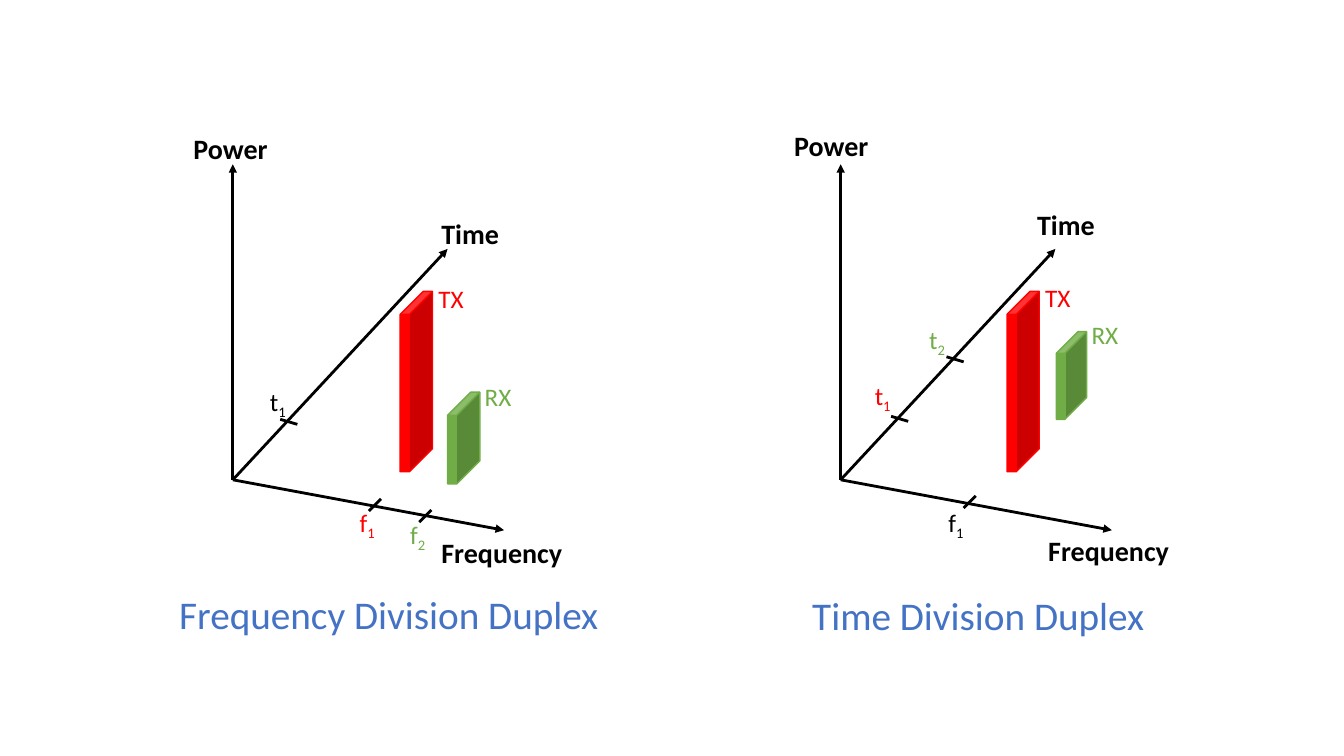
import pptx
import pptx.dml.color
import pptx.enum.shapes
import pptx.enum.text
import pptx.oxml
import pptx.oxml.ns
import pptx.util

HUES = {"black": "000000", "red": "FF0000", "green": "70AD47", "blue": "4472C4"}


class Sketch:
    def __init__(self, deck):
        self.deck = deck
        self.face = "Calibri"
        self.cell = pptx.util.Inches(0.1)
        deck.slide_width = self.grid(133.33)
        deck.slide_height = self.grid(75)
        self.slide = deck.slides.add_slide(deck.slide_layouts[6])

    def grid(self, cells):
        return pptx.util.Emu(round(cells * self.cell))

    def hue(self, name):
        return pptx.dml.color.RGBColor.from_string(HUES[name])

    def text(self, col, row, wide, high, words, size, hue="black", bold=False, sub=""):
        box = self.slide.shapes.add_textbox(*map(self.grid, (col, row, wide, high)))
        frame = box.text_frame
        frame.word_wrap = True
        frame.auto_size = pptx.enum.text.MSO_AUTO_SIZE.SHAPE_TO_FIT_TEXT
        para = frame.paragraphs[0]
        para.add_run().text = words
        if sub:
            low = para.add_run()
            low.text = sub
            low.font._element.set("baseline", "-25000")
        para.font.name = self.face
        para.font.size = pptx.util.Pt(size)
        para.font.bold = bold
        para.font.color.rgb = self.hue(hue)

    def title(self, col, row, words):
        self.text(col, row, 44.6, 5.7, words, 28, "blue")

    def name(self, col, row, wide, words):
        self.text(col, row, wide, 4.4, words, 20, bold=True)

    def mark(self, col, row, words, hue, sub=""):
        self.text(col, row, 4.9, 4, words, 18, hue, sub=sub)

    def line(self, col, row, across, down, arrow=False):
        ends = (col, row, col + across, row + down)
        kind = pptx.enum.shapes.MSO_CONNECTOR.STRAIGHT
        line = self.slide.shapes.add_connector(kind, *map(self.grid, ends))
        line.line.width = pptx.util.Pt(2)
        line.line.color.rgb = self.hue("black")
        if arrow:
            tip = pptx.oxml.ns.qn("a:tailEnd")
            line.line._get_or_add_ln().append(
                line._element.makeelement(tip, {"type": "triangle"}))
        none = pptx.oxml.ns.qn("a:effectLst")
        line._element.spPr.append(line._element.makeelement(none, {}))

    def axes(self, col, row):
        for across, down in ((0, -31.3), (21.3, -22.9), (26.9, 5)):
            self.line(col, row, across, down, True)

    def bar(self, col, row, wide, high, hue):
        kind = pptx.enum.shapes.MSO_SHAPE.CUBE
        bar = self.slide.shapes.add_shape(kind, *map(self.grid, (col, row, wide, high)))
        bar.adjustments[0] = 0.717
        bar.shadow.inherit = False
        bar.fill.solid()
        bar.fill.fore_color.rgb = self.hue(hue)
        bar.line.color.rgb = self.hue(hue)
        bar.line.width = pptx.util.Pt(1)


PLOTS = [
    {
        "root": (23.1, 47.6),
        "title": (16.8, 58.1, "Frequency Division Duplex"),
        "names": [(18.2, 12.6, 15.1, "Power"), (42.8, 21, 9.2, "Time"),
                  (42.8, 52.6, 15.1, "Frequency")],
        "bars": [(39.7, 28.9, 3.2, 17.9, "red"), (44.4, 38.9, 3.2, 9.1, "green")],
        "times": [(27.8, 41.6)],
        "tones": [(37.8, 49.5), (42.8, 50.6)],
        "marks": [(25.8, 37.8, "t", "black", "1"), (34.7, 49.8, "f", "red", "1"),
                  (39.7, 51, "f", "green", "2"), (42.5, 27.6, "TX", "red"),
                  (47.1, 37.3, "RX", "green")],
    },
    {
        "root": (83.4, 47.6),
        "title": (79.6, 58.2, "Time Division Duplex"),
        "names": [(77.8, 12.3, 15.1, "Power"), (101.9, 20.1, 9.2, "Time"),
                  (103, 52.4, 15.1, "Frequency")],
        "bars": [(99.9, 28.9, 3.2, 17.9, "red"), (104.8, 32.9, 3, 8.7, "green")],
        "times": [(88.4, 41.3), (93.9, 35.4)],
        "tones": [(96.8, 49.2)],
        "marks": [(85.8, 37.2, "t", "red", "1"), (91.2, 31.7, "t", "green", "2"),
                  (93.1, 49.8, "f", "black", "1"), (102.7, 27.5, "TX", "red"),
                  (107.3, 31.2, "RX", "green")],
    },
]


def main():
    deck = pptx.Presentation()
    sketch = Sketch(deck)
    for plot in PLOTS:
        sketch.axes(*plot["root"])
        for bar in plot["bars"]:
            sketch.bar(*bar)
        for spot in plot["times"]:
            sketch.line(*spot, 1.7, 0.5)
        for spot in plot["tones"]:
            sketch.line(*spot, -1.2, 1.2)
        for name in plot["names"]:
            sketch.name(*name)
        for mark in plot["marks"]:
            sketch.mark(*mark)
        sketch.title(*plot["title"])
    deck.save("out.pptx")


if __name__ == "__main__":
    main()
